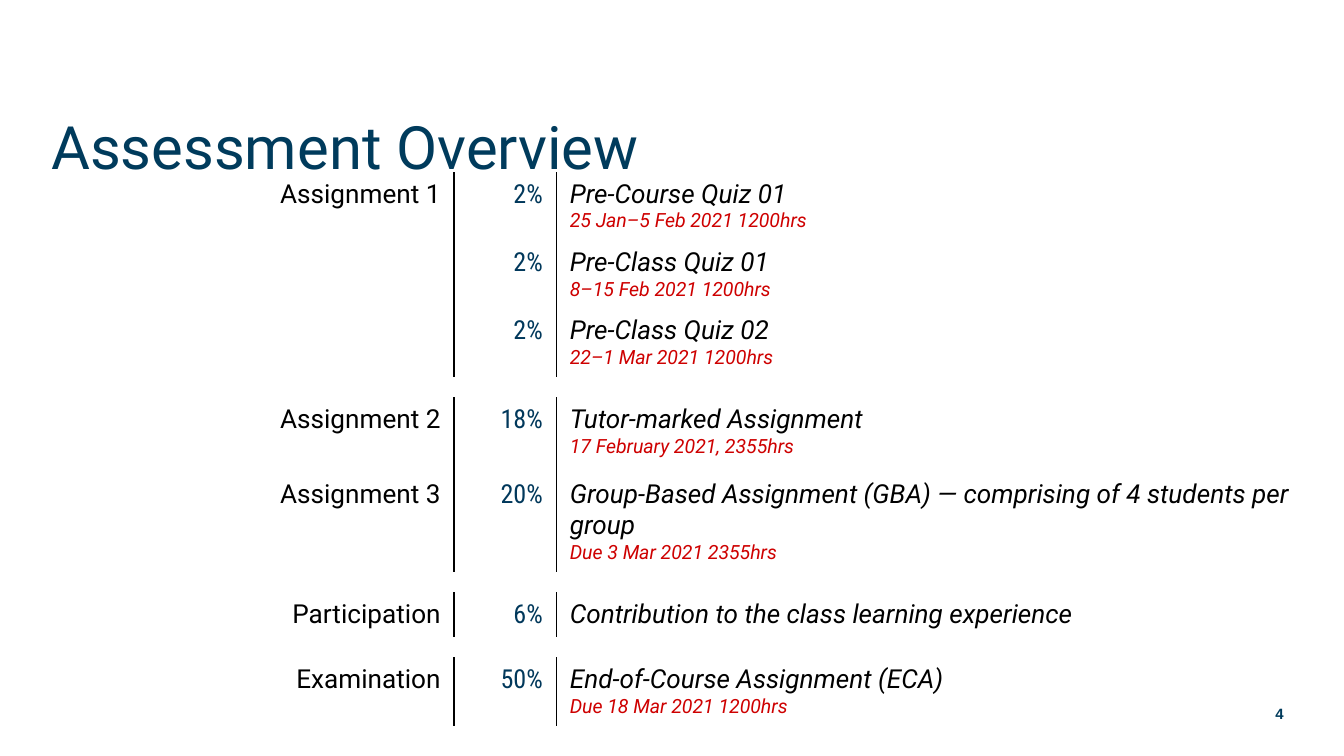
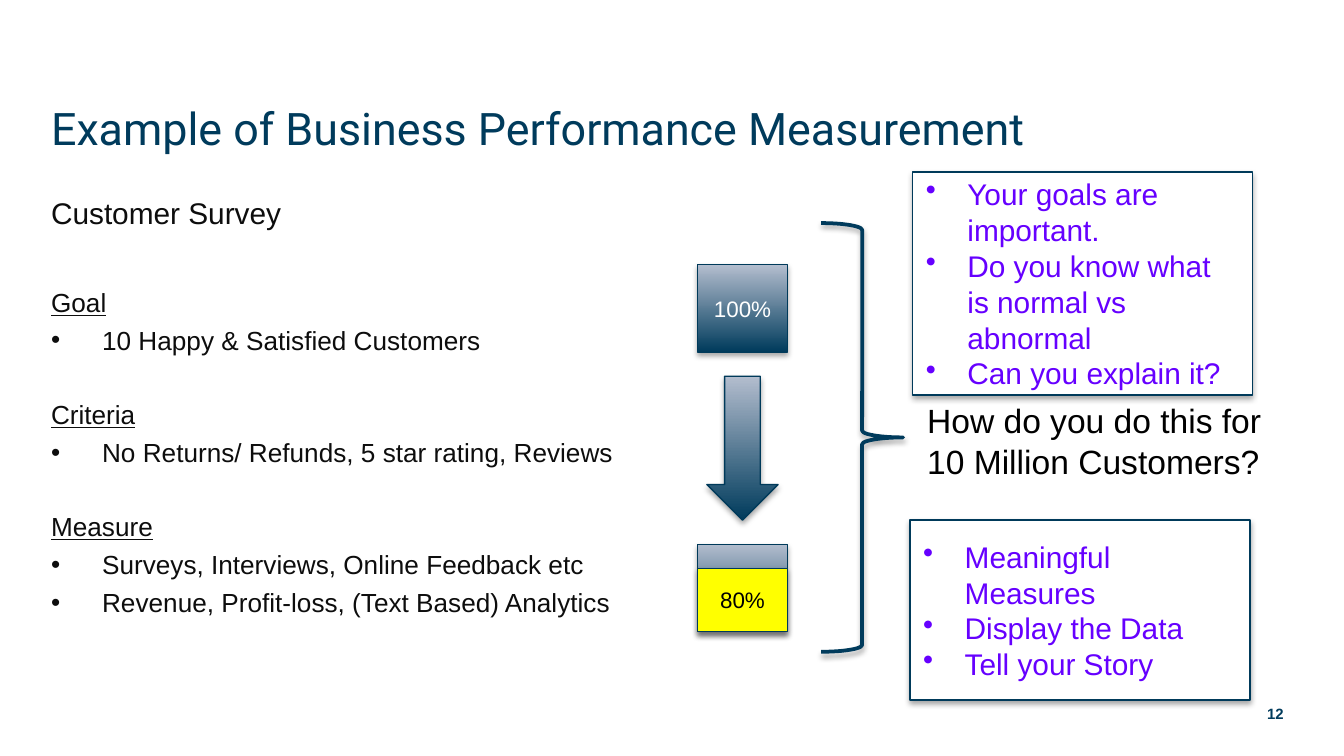
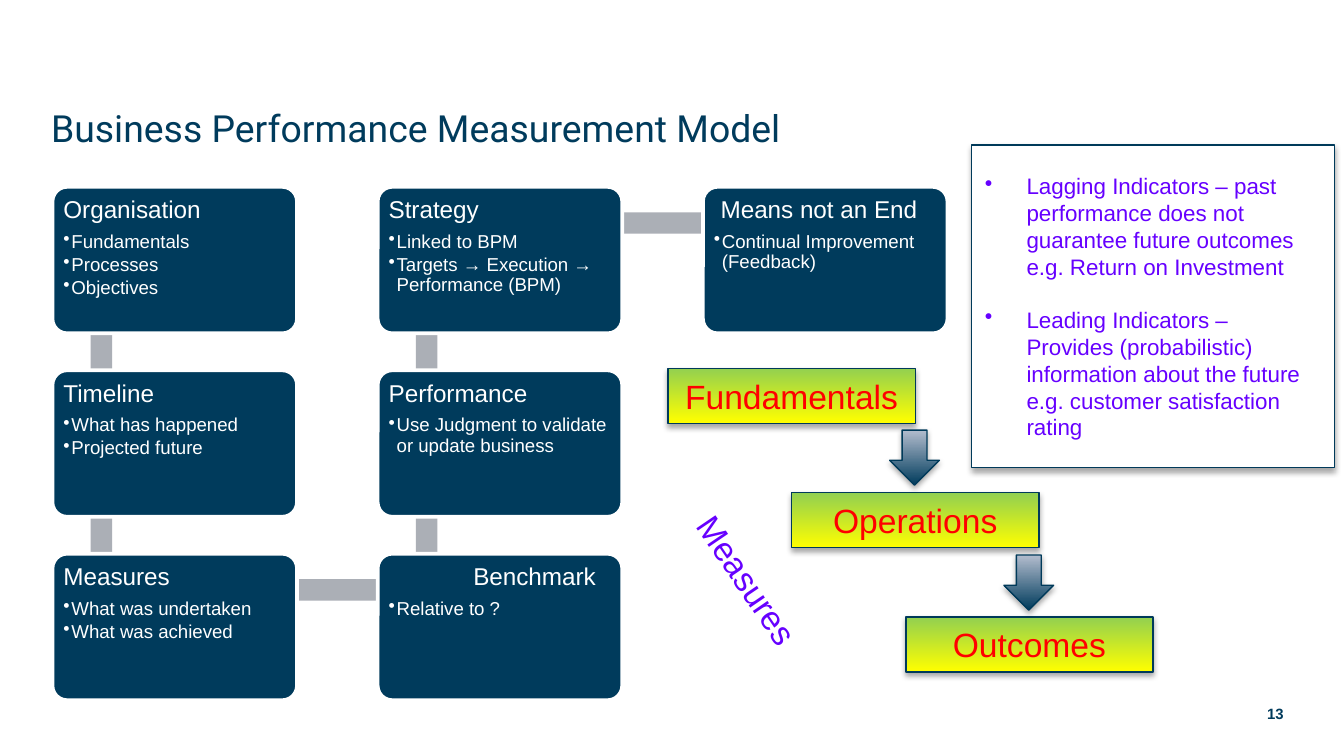
from lxml import etree
from pptx import Presentation
from pptx.dml.color import RGBColor
from pptx.enum.shapes import MSO_SHAPE
from pptx.enum.text import MSO_ANCHOR, MSO_AUTO_SIZE, PP_ALIGN
from pptx.oxml.ns import qn
from pptx.util import Inches, Pt

COLORS = {
    "navy": "003B5C", "outline": "003A5A", "steel": "B3BDCE", "grey": "ABAFB6",
    "percent": "01385B", "date": "CE0000", "purple": "6600FF", "red": "FF0000",
    "yellow": "FFFF00", "green": "92D050", "black": "000000", "ink": "0D0D0D",
    "white": "FFFFFF",
}
CELL = Inches(0.1)  # the slide is a grid of 100 columns by 56.25 rows
PLAIN_TABLE = "{2D5ABB26-0587-4C30-8999-92F81FD0307C}"
BLUE_FADE = ("navy", "steel")
LIME_FADE = ("yellow", "green")
CARD_WIDTH, CARD_HEIGHT = 18.2, 10.9

ASSESSMENTS = [  # row height, component, weight, task, date
    (5, "Assignment 1", "2%", "Pre-Course Quiz 01", "25 Jan–5 Feb 2021 1200hrs"),
    (5, "", "2%", "Pre-Class Quiz 01", "8–15 Feb 2021 1200hrs"),
    (5, "", "2%", "Pre-Class Quiz 02", "22–1 Mar 2021 1200hrs"),
    (1.5, "", "", "", ""),
    (5.6, "Assignment 2", "18%", "Tutor-marked Assignment", "17 February 2021, 2355hrs"),
    (7.3, "Assignment 3", "20%",
     "Group-Based Assignment (GBA) — comprising of 4 students per group",
     "Due 3 Mar 2021 2355hrs"),
    (1.5, "", "", "", ""),
    (3.3, "Participation", "6%", "Contribution to the class learning experience", ""),
    (1.5, "", "", "", ""),
    (5, "Examination", "50%", "End-of-Course Assignment (ECA)", "Due 18 Mar 2021 1200hrs"),
]
SURVEY = [
    ("Goal", ["10 Happy & Satisfied Customers"]),
    ("Criteria", ["No Returns/ Refunds, 5 star rating, Reviews"]),
    ("Measure", ["Surveys, Interviews, Online Feedback etc",
                 "Revenue, Profit-loss, (Text Based) Analytics"]),
]
CARDS = [  # column, row, heading, heading indent, points
    (0, 0, "Organisation", 0, ["Fundamentals", "Processes", "Objectives"]),
    (0, 1, "Timeline", 0, ["What has happened", "Projected future"]),
    (0, 2, "Measures", 0, ["What was undertaken", "What was achieved"]),
    (1, 2, "Benchmark", 6.3, ["Relative to ?"]),
    (1, 1, "Performance", 0, ["Use Judgment to validate or update business"]),
    (1, 0, "Strategy", 0, ["Linked to BPM", "Targets → Execution → Performance (BPM)"]),
    (2, 0, "Means not an End", 0.5, ["Continual Improvement (Feedback)"]),
]


def color(name):
    return RGBColor.from_string(COLORS[name])


def grid(*cells):
    return [round(CELL * count) for count in cells]


def add_line(frame, text, size, ink, font="Arial", align=PP_ALIGN.LEFT, indent=0,
             hanging=0, before=0, after=0, spacing=None):
    """Append a paragraph; a hanging indent gives it a bullet."""
    para = frame.add_paragraph() if frame.text else frame.paragraphs[0]
    para.text = text
    properties = para._p.get_or_add_pPr()
    left, first = grid(indent + hanging, -hanging)
    properties.set("marL", str(left))
    properties.set("indent", str(first))
    if hanging:
        etree.SubElement(properties, qn("a:buChar")).set("char", "•")
    else:
        etree.SubElement(properties, qn("a:buNone"))
    para.alignment = align
    para.space_before, para.space_after = Pt(before), Pt(after)
    if spacing:
        para.line_spacing = spacing
    para.font.size, para.font.name = Pt(size), font
    para.font.color.rgb = color(ink)
    return para


def place(holder, *cells):
    holder.left, holder.top, holder.width, holder.height = grid(*cells)
    holder.text_frame.auto_size = MSO_AUTO_SIZE.NONE
    return holder.text_frame


def add_text_box(page, *cells, wrap=True):
    box = page.shapes.add_textbox(*grid(*cells))
    box.text_frame.word_wrap = wrap
    return box


def add_page(deck, layout, title, size, number, anchor=MSO_ANCHOR.MIDDLE):
    page = deck.slides.add_slide(deck.slide_layouts.get_by_name(layout))
    heading = place(page.shapes.title, 2.8, 5, 93.7, 9)
    heading.vertical_anchor = anchor
    add_line(heading, title, size, "navy", "Roboto")
    footer = add_text_box(page, 75, 51.6, 21.5, 3).text_frame
    footer.vertical_anchor = MSO_ANCHOR.MIDDLE
    add_line(footer, str(number), 8, "navy", align=PP_ALIGN.RIGHT).font.bold = True
    return page


def add_shadow(shape):
    effects = etree.SubElement(shape._element.spPr, qn("a:effectLst"))
    shadow = etree.SubElement(effects, qn("a:outerShdw"), blurRad=str(Pt(3.1)),
                              dist=str(Pt(1.8)), dir="5400000", rotWithShape="0")
    tint = etree.SubElement(shadow, qn("a:srgbClr"), val=COLORS["black"])
    etree.SubElement(tint, qn("a:alpha"), val="35000")


def add_panel(page, kind, cells, fill=None, line="outline", width=0.75, shadow=True):
    """Add a shape; a pair of fill colours fades from bottom to top."""
    shape = page.shapes.add_shape(kind, *grid(*cells))
    if fill is None:
        shape.fill.background()
    elif isinstance(fill, tuple):
        shape.fill.gradient()
        shape.fill.gradient_angle = 90
        for stop, name in zip(shape.fill.gradient_stops, fill):
            stop.color.rgb = color(name)
    else:
        shape.fill.solid()
        shape.fill.fore_color.rgb = color(fill)
    if line:
        shape.line.color.rgb = color(line)
        shape.line.width = Pt(width)
    else:
        shape.line.fill.background()
    if shadow:
        add_shadow(shape)
    else:
        shape.shadow.inherit = False
    return shape


def add_label(page, cells, fill, text="", size=12, ink="white"):
    panel = add_panel(page, MSO_SHAPE.RECTANGLE, cells, fill)
    if text:
        add_line(panel.text_frame, text, size, ink, align=PP_ALIGN.CENTER)


def add_callout(page, cells, points, size, gap=0):
    frame = add_panel(page, MSO_SHAPE.RECTANGLE, cells, "white").text_frame
    for index, point in enumerate(points):
        add_line(frame, point, size, "purple", hanging=3.1, before=gap if index else 0)


def add_border(cell, side):
    line = etree.Element(qn(f"a:{side}"), w=str(Pt(1)))
    fill = etree.SubElement(line, qn("a:solidFill"))
    etree.SubElement(fill, qn("a:srgbClr"), val=COLORS["black"])
    cell._tc.get_or_add_tcPr().insert(0, line)


def add_assessment_table(page):
    holder = page.shapes.add_table(len(ASSESSMENTS), 3, *grid(10.4, 12.8, 86.8, 40.7))
    holder._element.find(".//" + qn("a:tableStyleId")).text = PLAIN_TABLE
    table = holder.table
    table.first_row = table.horz_banding = False
    for column, width in zip(table.columns, grid(23.4, 7.6, 55.8)):
        column.width = width
    for index, (height, component, weight, task, date) in enumerate(ASSESSMENTS):
        table.rows[index].height = grid(height)[0]
        cells = [table.cell(index, column) for column in range(3)]
        for cell in cells:
            cell.fill.background()
        if not weight:
            for cell in cells:
                cell.margin_top = cell.margin_bottom = 0
                cell.text_frame.paragraphs[0]._p.get_or_add_endParaRPr().set("sz", "400")
            continue
        name_cell, weight_cell, task_cell = cells
        add_border(name_cell, "lnR")
        add_border(weight_cell, "lnL")
        if component:
            add_line(name_cell.text_frame, component, 14, "black", "Roboto", PP_ALIGN.RIGHT)
        add_line(weight_cell.text_frame, weight, 14, "percent", "Roboto Condensed",
                 PP_ALIGN.RIGHT)
        add_line(task_cell.text_frame, task, 14, "black", "Roboto").font.italic = True
        if date:
            add_line(task_cell.text_frame, date, 10.5, "date", "Roboto").font.italic = True
    table.cell(0, 0).merge(table.cell(2, 0))


def card_corner(column, row):
    return 3.9 + 24.2 * column, 13.9 + 13.65 * row


def add_bar(page, column, row, across):
    """Link a card to the next one, across or down."""
    left, top = card_corner(column, row)
    cells = (left + 3.8, top + 1.9, 24.1, 1.6) if across else (left + 2.85, top + 2.75, 1.6, 13.5)
    add_panel(page, MSO_SHAPE.RECTANGLE, cells, "grey", line=None, shadow=False)


def add_card(page, column, row, heading, indent, points):
    card = add_panel(page, MSO_SHAPE.ROUNDED_RECTANGLE,
                     (*card_corner(column, row), CARD_WIDTH, CARD_HEIGHT),
                     "navy", "white", 2, shadow=False)
    card.adjustments[0] = 0.1
    frame = card.text_frame
    frame.vertical_anchor = MSO_ANCHOR.TOP
    frame.margin_left = frame.margin_right = frame.margin_top = frame.margin_bottom = Inches(0.05)
    add_line(frame, heading, 13, "white", indent=indent, after=4.5, spacing=0.9)
    for point in points:
        add_line(frame, point, 10, "white", hanging=0.6, after=1.5, spacing=0.9)


def build_overview(deck):
    page = add_page(deck, "Title Only", "Assessment Overview", 32, 4, MSO_ANCHOR.BOTTOM)
    add_assessment_table(page)


def build_example(deck):
    page = add_page(deck, "Two Content", "Example of Business Performance Measurement", 24, 12)
    subtitle = place(page.placeholders[1], 2.8, 14, 93.7, 3.2)
    add_line(subtitle, "Customer Survey", 16, "ink")
    survey = place(page.placeholders[2], 2.8, 20.8, 47.2, 27.1)
    for index, (heading, points) in enumerate(SURVEY):
        para = add_line(survey, heading, 14, "ink", before=23 if index else 0)
        para.font.underline = True
        for point in points:
            add_line(survey, point, 14, "ink", hanging=3.8, before=3.5)

    add_label(page, (51.9, 19.7, 6.7, 6.5), BLUE_FADE, "100%")
    add_label(page, (51.9, 40.5, 6.7, 6.5), BLUE_FADE)
    add_panel(page, MSO_SHAPE.DOWN_ARROW, (52.6, 28, 5.3, 10.7), BLUE_FADE)
    add_label(page, (51.9, 42.3, 6.7, 4.7), "yellow", "80%", ink="black")
    add_panel(page, MSO_SHAPE.RIGHT_BRACE, (61.1, 16.6, 6.1, 31.9), line="navy", width=2)
    question = add_text_box(page, 68, 29.3, 27.6, 7.1).text_frame
    add_line(question, "How do you do this for 10 Million Customers?", 18, "black")
    add_callout(page, (67.7, 38.7, 25.3, 13.4),
                ["Meaningful Measures", "Display the Data", "Tell your Story"], 16)
    add_callout(page, (67.9, 12.8, 25.3, 16.6),
                ["Your goals are important.", "Do you know what is normal vs abnormal",
                 "Can you explain it?"], 16)


def build_model(deck):
    page = add_page(deck, "Title Only", "Business Performance Measurement Model", 20, 13)
    for column in range(2):
        for row in range(2):
            add_bar(page, column, row, across=False)
    add_bar(page, 0, 2, across=True)
    add_bar(page, 1, 0, across=True)
    for card in CARDS:
        add_card(page, *card)

    steps = [("Fundamentals", 49.7), ("Operations", 58.9), ("Outcomes", 67.4)]
    for index, (name, left) in enumerate(steps):
        add_label(page, (left, 27.4 + 9.25 * index, 18.4, 4.1), LIME_FADE, name, 18, "red")
    for index, left in enumerate((66.2, 74.7)):
        add_panel(page, MSO_SHAPE.DOWN_ARROW, (left, 32 + 9.3 * index, 3.7, 4.1), BLUE_FADE)
    add_callout(page, (72.3, 10.8, 27, 24), [
        "Lagging Indicators – past performance does not guarantee future outcomes "
        "e.g. Return on Investment",
        "Leading Indicators – Provides (probabilistic) information about the future "
        "e.g. customer satisfaction rating"], 12, gap=14)
    measures = add_text_box(page, 49.1, 41.2, 13.1, 4, wrap=False)
    measures.rotation = 55.8
    add_line(measures.text_frame, "Measures", 18, "purple")


def main():
    deck = Presentation()
    deck.slide_width, deck.slide_height = grid(100, 56.25)
    build_overview(deck)
    build_example(deck)
    build_model(deck)
    deck.save("out.pptx")


if __name__ == "__main__":
    main()
